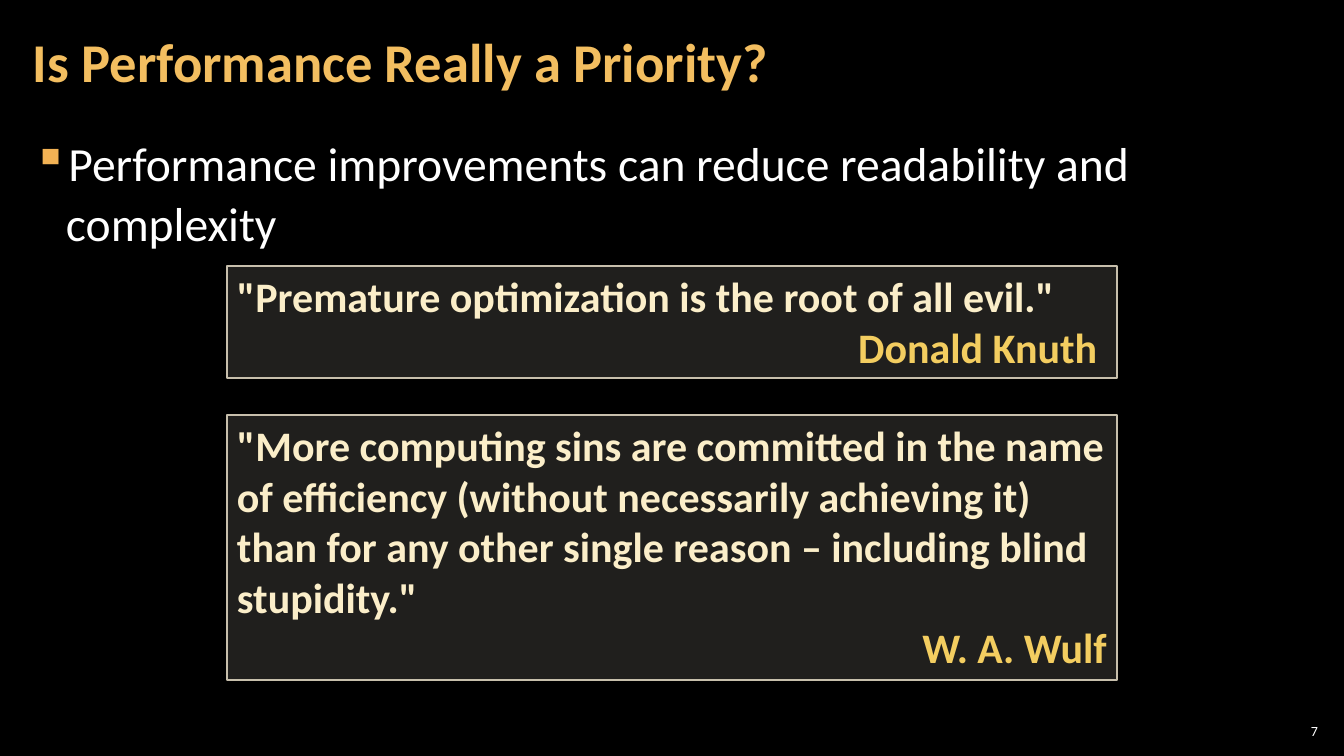
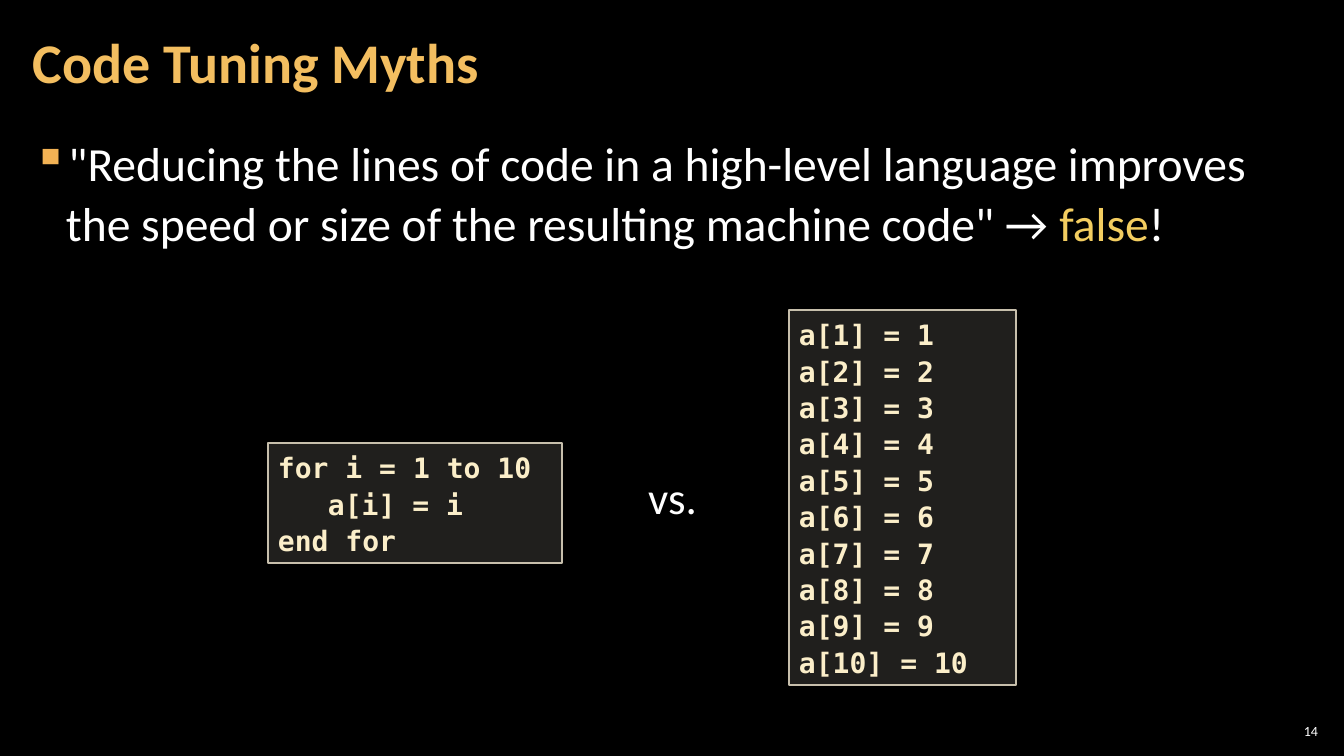
from dataclasses import dataclass

from lxml import etree
from pptx import Presentation
from pptx.dml.color import RGBColor
from pptx.enum.shapes import MSO_SHAPE
from pptx.enum.text import MSO_ANCHOR, MSO_AUTO_SIZE, PP_ALIGN
from pptx.oxml.ns import qn
from pptx.util import Pt

RECTANGLE = MSO_SHAPE.RECTANGLE
TOP, MIDDLE = MSO_ANCHOR.TOP, MSO_ANCHOR.MIDDLE
LEFT, RIGHT = PP_ALIGN.LEFT, PP_ALIGN.RIGHT
GROW = MSO_AUTO_SIZE.SHAPE_TO_FIT_TEXT
BLANK_LAYOUT = 6
WIDTH, HEIGHT = 1344, 756


def px(length):
    """Pixels to EMU, at 100.8 pixels to the inch."""
    return round(length * 914400 / 100.8)


@dataclass(frozen=True)
class Theme:
    # Colours
    background: str = "000000"
    title: str = "F3BE60"
    text: str = "FFFFFF"
    bullet: str = "F2B254"
    accent: str = "F3CD60"
    panel_text: str = "FBEEC9"
    panel: str = "D9D5C7"
    panel_line: str = "C7BFAC"
    panel_alpha: int = 15
    # Type
    font: str = "Calibri"
    mono: str = "DejaVu Sans Mono"
    title_size: int = 40
    body_size: int = 34
    versus_size: int = 32
    quote_size: int = 30
    code_size: int = 20
    code_leading: int = 26
    number_size: int = 10


class Deck:
    def __init__(self, theme):
        self.theme = theme
        self.prs = Presentation()
        self.prs.slide_width, self.prs.slide_height = px(WIDTH), px(HEIGHT)
        self.slide = None

    def new_slide(self, title, number, title_size=None):
        t = self.theme
        self.slide = self.prs.slides.add_slide(self.prs.slide_layouts[BLANK_LAYOUT])
        background = self.slide.background.fill
        background.solid()
        background.fore_color.rgb = RGBColor.from_string(t.background)

        # Slide number
        frame = self.text_box(1275, 720, 47, 21, (4, 4), MIDDLE)
        paragraph = self.paragraph(frame, RIGHT)
        self.run(paragraph, str(number), t.number_size, t.text)

        # Title
        frame = self.text_box(21, 4, 1055, 122, (12, 4), MIDDLE)
        paragraph = self.paragraph(frame, leading=0.9)
        self.run(paragraph, title, title_size or t.title_size, t.title, bold=True)

    def text_box(self, x, y, w, h, insets=(10, 5), anchor=TOP):
        box = self.slide.shapes.add_textbox(px(x), px(y), px(w), px(h))
        return self.set_frame(box.text_frame, insets, anchor)

    def set_frame(self, frame, insets=(10, 5), anchor=TOP):
        across, down = map(px, insets)
        frame.margin_left = frame.margin_right = across
        frame.margin_top = frame.margin_bottom = down
        frame.vertical_anchor = anchor
        frame.word_wrap = True
        return frame

    def paragraph(self, frame, align=LEFT, leading=None):
        first = frame.paragraphs[0]
        paragraph = frame.add_paragraph() if first.runs else first
        paragraph.alignment = align
        paragraph.line_spacing = leading
        return paragraph

    def run(self, paragraph, text, size, colour, font=None, bold=False):
        run = paragraph.add_run()
        run.text = text
        run.font.name = font or self.theme.font
        run.font.size = Pt(size)
        run.font.bold = bold
        run.font.color.rgb = RGBColor.from_string(colour)

    def bullet(self, *parts):
        """One bullet made of (text, colour) parts."""
        t = self.theme
        frame = self.text_box(21, 127, 1301, 614, (12, 4))
        paragraph = self.paragraph(frame, leading=1.05)
        paragraph.space_before = paragraph.space_after = Pt(6)
        props = paragraph._p.get_or_add_pPr()
        props.set("marL", str(px(33)))
        props.set("indent", str(-px(33)))
        colour = etree.SubElement(props, qn("a:buClr"))
        etree.SubElement(colour, qn("a:srgbClr"), val=t.bullet)
        etree.SubElement(props, qn("a:buChar"), char="▪")
        for text, part_colour in parts:
            self.run(paragraph, text, t.body_size, part_colour)

    def panel(self, x, y, w, h):
        """Translucent outlined box; returns its text frame."""
        t = self.theme
        box = self.slide.shapes.add_shape(RECTANGLE, px(x), px(y), px(w), px(h))
        box.shadow.inherit = False
        box.fill.solid()
        box.fill.fore_color.rgb = RGBColor.from_string(t.panel)
        colour = box._element.spPr.find(qn("a:solidFill")).find(qn("a:srgbClr"))
        etree.SubElement(colour, qn("a:alpha"), val=str(t.panel_alpha * 1000))
        box.line.color.rgb = RGBColor.from_string(t.panel_line)
        box.line.width = Pt(1)
        frame = self.set_frame(box.text_frame)
        frame.auto_size = GROW
        return frame

    def quote(self, y, h, words, author):
        t = self.theme
        frame = self.panel(227, y, 890, h)
        for text, align, colour in ((words, LEFT, t.panel_text),
                                    (author, RIGHT, t.accent)):
            paragraph = self.paragraph(frame, align)
            self.run(paragraph, text, t.quote_size, colour, bold=True)

    def code(self, x, y, w, h, lines):
        """Code panel of (indent in px, text) lines."""
        t = self.theme
        frame = self.panel(x, y, w, h)
        for indent, text in lines:
            paragraph = self.paragraph(frame, leading=Pt(t.code_leading))
            if indent:
                paragraph._p.get_or_add_pPr().set("marL", str(px(indent)))
            self.run(paragraph, text, t.code_size, t.panel_text, t.mono, bold=True)

    def label(self, x, y, w, h, text):
        frame = self.text_box(x, y, w, h)
        frame.auto_size = GROW
        self.run(self.paragraph(frame), text, self.theme.versus_size, self.theme.text)


def main():
    theme = Theme()
    deck = Deck(theme)

    # Performance as a priority
    deck.new_slide("Is Performance Really a Priority?", 7, title_size=39)
    deck.bullet(("Performance improvements can reduce readability and complexity",
                 theme.text))
    deck.quote(266, 112, '"Premature optimization is the root of all evil."',
               "Donald Knuth ")
    deck.quote(415, 265,
               '"More computing sins are committed in the name of efficiency '
               "(without necessarily achieving it) than for any other single "
               'reason – including blind stupidity."',
               "W. A. Wulf")

    # Code tuning myths
    deck.new_slide("Code Tuning Myths", 14)
    deck.bullet(('"Reducing the lines of code in a high-level language improves '
                 'the speed or size of the resulting machine code" → ', theme.text),
                ("false", theme.accent), ("!", theme.text))
    deck.code(268, 443, 294, 120,
              [(0, "for i = 1 to 10"), (50, "a[i] = i"), (0, "end for")])
    deck.code(789, 310, 227, 375, [(0, f"a[{i}] = {i}") for i in range(1, 11)])
    deck.label(638, 465, 76, 65, "vs.")

    deck.prs.save("out.pptx")


if __name__ == "__main__":
    main()
